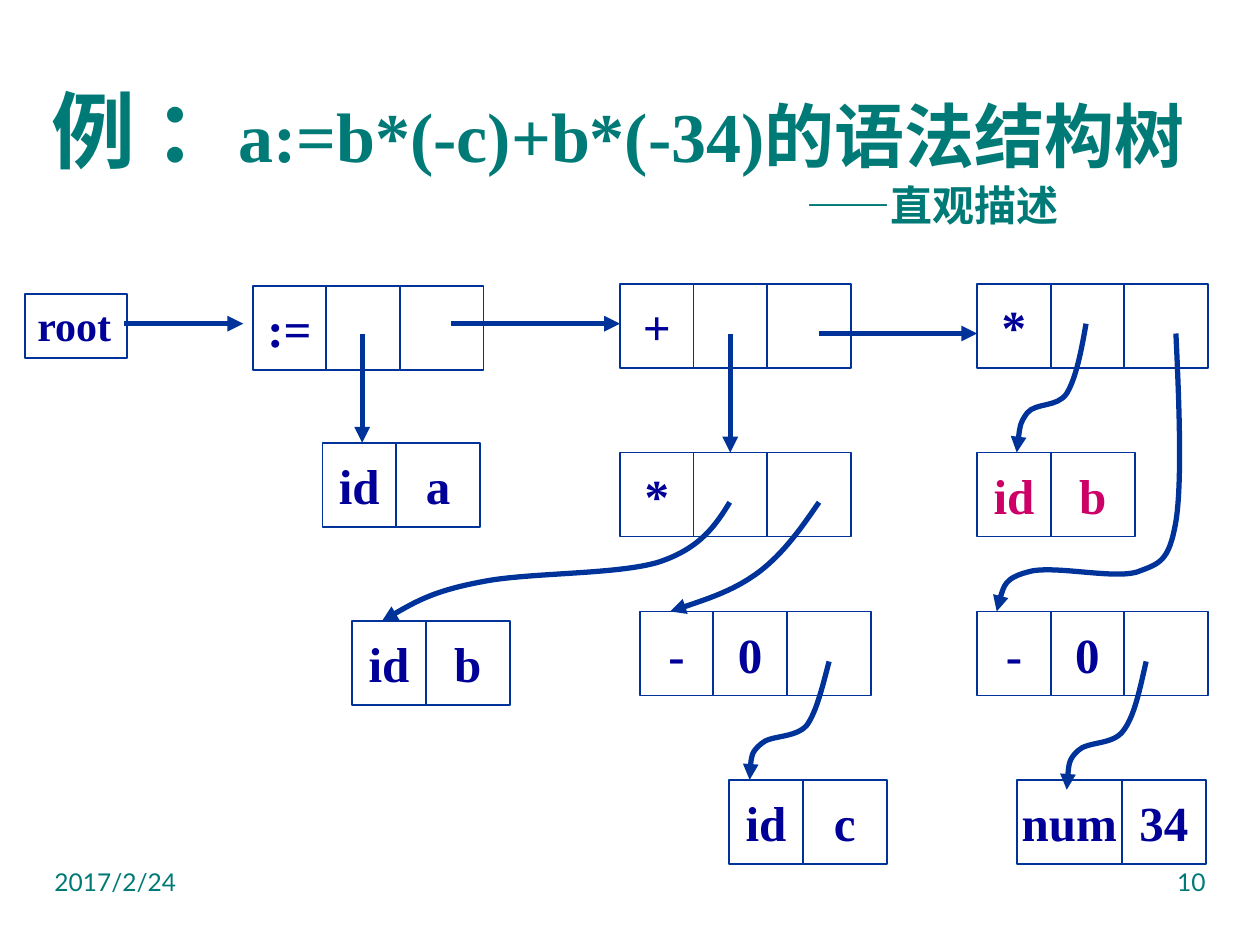
from lxml import etree
from pptx import Presentation
from pptx import util as u
from pptx.dml import color
from pptx.enum import shapes, text
from pptx.oxml import ns

Pt = u.Pt


def tint(code):
    """Turn a hex string into a colour."""
    return color.RGBColor.from_string(code)


class Board:
    """Hold the style and the current slide."""

    serif, sans = "Times New Roman", "Lato"
    teal, navy, blue, pink = "007A77", "000099", "003399", "CC0066"
    short, long, wide, high = 42, 48, 60, 48

    def __init__(self, slide):
        """Keep the slide to draw on."""
        self.slide = slide

    def style(self, run, size, hue, face=serif, bold=True):
        """Format one run."""
        font = run.font
        font.size, font.name, font.bold = Pt(size), face, bold
        font.color.rgb = tint(hue)

    def title(self, parts, sub):
        """Fill the title with sized parts and an indented second line."""
        box = self.slide.shapes.title
        box.left, box.top, box.width, box.height = Pt(8.6), Pt(43.2), Pt(689), Pt(90)
        frame = box.text_frame
        frame.word_wrap = True
        frame.auto_size = text.MSO_AUTO_SIZE.NONE
        frame.vertical_anchor = text.MSO_ANCHOR.MIDDLE
        head = frame.paragraphs[0]
        head.alignment = text.PP_ALIGN.CENTER
        for words, size in parts:
            run = head.add_run()
            run.text = words
            self.style(run, size, self.teal)
        line = frame.add_paragraph()
        line.text = sub
        line.alignment = text.PP_ALIGN.LEFT
        line.space_before = Pt(0)
        line._p.get_or_add_pPr().set("marL", str(Pt(444.8)))
        self.style(line.runs[0], 24, self.teal)

    def label(self, words, left, align):
        """Add a small footer text."""
        box = self.slide.shapes.add_textbox(Pt(left), Pt(492), Pt(180), Pt(37.5))
        frame = box.text_frame
        frame.word_wrap = True
        frame.text = words
        line = frame.paragraphs[0]
        line.alignment = align
        self.style(line.runs[0], 14, self.teal, self.sans, False)

    def cell(self, home, words, left, top, width, height, hue=navy, size=28):
        """Add one outlined box with centred text."""
        box = home.add_shape(shapes.MSO_SHAPE.RECTANGLE,
                             Pt(left), Pt(top), Pt(width), Pt(height))
        box.shadow.inherit = False
        box.fill.background()
        box.line.color.rgb, box.line.width = tint(self.blue), Pt(1)
        frame = box.text_frame
        frame.word_wrap = False
        frame.vertical_anchor = text.MSO_ANCHOR.MIDDLE
        if words:
            frame.text = words
            frame.paragraphs[0].alignment = text.PP_ALIGN.CENTER
            self.style(frame.paragraphs[0].runs[0], size, hue)
        return box

    def node(self, left, top, words, hue=navy):
        """Add a grouped row of cells, the last one longer."""
        group = self.slide.shapes.add_group_shape()
        cells = []
        for i, word in enumerate(words):
            last = i == len(words) - 1
            width = self.long if last else self.wide if word == "num" else self.short
            cells.append(self.cell(group.shapes, word, left, top, width, self.high, hue))
            left += width
        return cells

    def root(self, words):
        """Add the root box."""
        box = self.cell(self.slide.shapes, words, 14.2, 167.8, 58.3, 36.7, size=24)
        frame = box.text_frame
        frame.vertical_anchor = text.MSO_ANCHOR.TOP
        frame.auto_size = text.MSO_AUTO_SIZE.SHAPE_TO_FIT_TEXT
        frame.paragraphs[0].alignment = text.PP_ALIGN.LEFT

    def ink(self, item):
        """Give a line its colour, width and arrowhead."""
        item.line.color.rgb, item.line.width = tint(self.blue), Pt(3)
        etree.SubElement(item.line._get_or_add_ln(), ns.qn("a:tailEnd"), type="triangle")

    def arrow(self, start, end, head=None):
        """Add a straight arrow, joined to a (shape, side) pair if given."""
        link = self.slide.shapes.add_connector(
            shapes.MSO_CONNECTOR.STRAIGHT, *map(Pt, start + end))
        if head:
            link.end_connect(*head)
        self.ink(link)
        etree.SubElement(link._element.spPr, ns.qn("a:effectLst"))

    def curve(self, start, *bends):
        """Add a curved arrow of cubic bends, each two controls and an end."""
        build = self.slide.shapes.build_freeform(*map(Pt, start), scale=1.0)
        build.add_line_segments([tuple(map(Pt, bend[-1])) for bend in bends], close=False)
        item = build.convert_to_shape()
        lines = list(item._element.spPr.iter(ns.qn("a:lnTo")))
        for line, bend in zip(lines, bends):
            cubic = etree.Element(ns.qn("a:cubicBezTo"))
            for x, y in bend:
                etree.SubElement(cubic, ns.qn("a:pt"), x=str(Pt(x) - item.left),
                                 y=str(Pt(y) - item.top))
            line.getparent().replace(line, cubic)
        item.shadow.inherit = False
        item.fill.background()
        self.ink(item)


def main():
    """Build the syntax tree slide."""
    deck = Presentation()
    deck.slide_width, deck.slide_height = Pt(720), Pt(540)
    board = Board(deck.slides.add_slide(deck.slide_layouts[5]))
    board.title([("例 ：", 48), ("a:=b*(-c)+b*(-34)的语法结构树", 40)], "——直观描述")
    board.label("2017/2/24", 24, text.PP_ALIGN.LEFT)
    board.label("10", 516, text.PP_ALIGN.RIGHT)

    mid, right = 354.3, 558.4
    board.node(144.4, 163.6, [":=", "", ""])
    times = board.node(mid, 258.6, ["*", "", ""])
    board.node(365.6, 349.4, ["-", "0", ""])
    board.node(mid, 162.2, ["+", "", ""])
    board.node(right, 162.2, ["*", "", ""])
    board.node(right, 349.4, ["-", "0", ""])
    board.node(right, 258.6, ["id", "b"], board.pink)
    board.node(581, 445.6, ["num", "34"])
    board.node(201.3, 354.9, ["id", "b"])
    board.node(416.7, 445.6, ["id", "c"])
    board.node(184.3, 253, ["id", "a"])
    board.root("root")

    board.arrow((70.8, 185), (139, 185))
    board.arrow((207, 190.6), (207, 253))
    board.arrow((468, 190.6), (right, 190.6))
    board.arrow((258, 185), (mid, 185))
    board.arrow((417.3, 190.6), (417.3, 258.6), head=(times[1], 0))

    board.curve((620.6, 185), ((618, 200), (615, 216), (609.5, 225)),
                ((604, 233), (592, 230), (587, 236)),
                ((582.5, 242), (582, 250), (581, 258.6)))
    board.curve((655, 378), ((651.5, 393), (648.5, 409), (642, 417.5)),
                ((636, 426), (621.5, 423.5), (616, 429)),
                ((610.5, 434), (610, 443), (609.6, 451.3)))
    board.curve((672, 190.6), ((674, 233), (675.5, 276), (672, 298)),
                ((668, 321), (663, 322), (649.5, 327)),
                ((635, 331), (600.5, 322.5), (587, 327)),
                ((574, 330.5), (571.5, 340), (569.6, 349.4)))
    board.curve((417, 287), ((409, 300), (400.5, 313), (377, 321)),
                ((353.5, 328.5), (301.5, 327), (275, 332.5)),
                ((248.5, 337.5), (233, 346), (218.2, 355)))
    board.curve((468, 287), ((458, 301.5), (448, 316), (433.5, 327)),
                ((420, 337), (401, 343.5), (383, 349.4)))
    board.curve((473.8, 378), ((470, 392.5), (466.5, 407), (461, 414.5)),
                ((454.5, 422), (440, 420), (435, 425)),
                ((429, 430), (428.5, 438), (428.4, 445.6)))
    deck.save("out.pptx")


if __name__ == "__main__":
    main()
